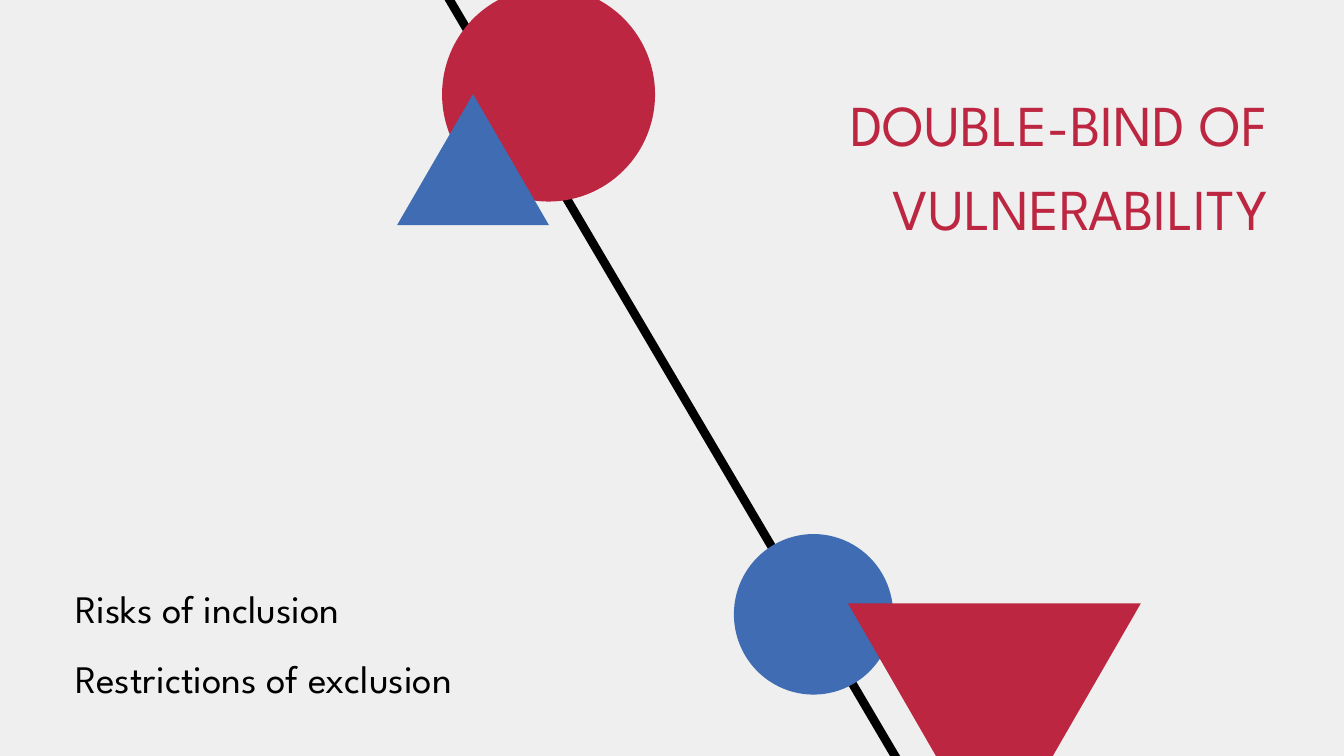
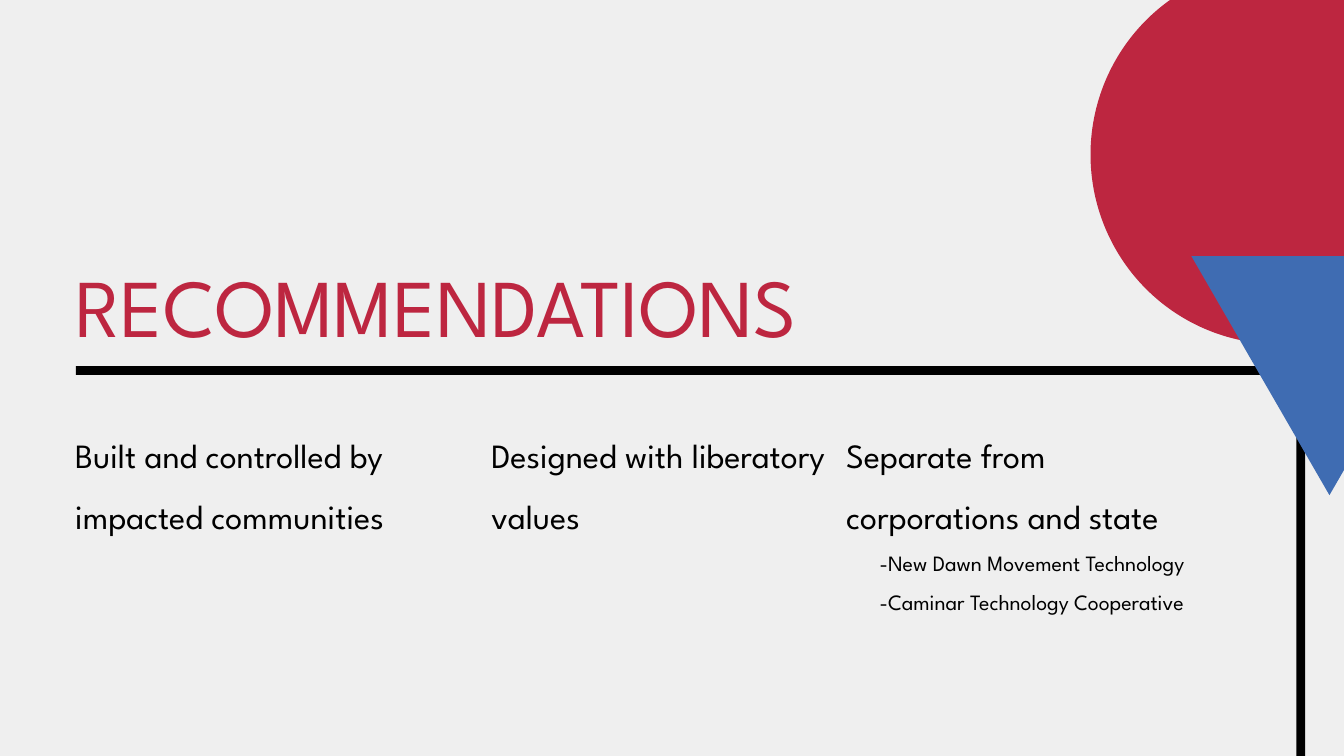
import pptx
import pptx.util
import pptx.dml.color
import pptx.enum.shapes
import pptx.enum.text

Cm = pptx.util.Cm
Pt = pptx.util.Pt
SHAPE = pptx.enum.shapes.MSO_SHAPE
ALIGN = pptx.enum.text.PP_ALIGN

COLORS = {"paper": "EFEFEF", "red": "BD2640", "blue": "3F6CB2", "black": "000000"}
FONT = "League Spartan"
MARGIN = 2.84
BAR = 0.33
COLUMN_TOP = 15.67

KINDS = {
    "bar": SHAPE.RECTANGLE,
    "circle": SHAPE.OVAL,
    "triangle": SHAPE.ISOSCELES_TRIANGLE,
}

STYLES = {
    "side title": {"size": 62, "color": "red", "align": ALIGN.RIGHT, "spacing": 1.2},
    "wide title": {"size": 88, "color": "red"},
    "statement": {"size": 41.7, "color": "black", "spacing": 1.5},
    "column": {"size": 36.4, "color": "black", "spacing": 1.5},
    "example": {"size": 23.4, "color": "black", "spacing": 1.5, "indent": 1.27},
}

SLIDES = [
    {
        "shapes": [
            ("bar", "black", (25.25, -5.94, BAR, 40.46), 329.5),
            ("circle", "red", (16.71, -0.48, 8.05, 8.1), 0),
            ("circle", "blue", (27.74, 20.19, 6.02, 6.07), 0),
            ("triangle", "blue", (15.01, 3.56, 5.74, 4.95), 0),
            ("triangle", "red", (32.05, 22.81, 11.07, 9.6), 180),
        ],
        "texts": [
            ((29.41, MARGIN, 18.52, 5.84), [("side title", "DOUBLE-BIND OF VULNERABILITY")]),
            ((MARGIN, 21.23, 25.73, 1.78), [("statement", "Risks of inclusion")]),
            ((MARGIN, 23.85, 25.73, 1.78), [("statement", "Restrictions of exclusion")]),
        ],
    },
    {
        "shapes": [
            ("bar", "black", (49, -1.04, BAR, 30.66), 0),
            ("bar", "black", (2.87, 13.84, 49.5, BAR), 0),
            ("circle", "red", (41.22, -1.32, 14.25, 14.33), 0),
            ("triangle", "blue", (45.03, 9.68, 10.44, 9.04), 180),
        ],
        "texts": [
            ((MARGIN, 9.65, 37.03, 3.76), [("wide title", "RECOMMENDATIONS")]),
            ((MARGIN, COLUMN_TOP, 14.78, 3.89),
             [("column", "Built and controlled by impacted communities")]),
            ((18.57, COLUMN_TOP, 13.46, 3.89),
             [("column", "Designed with liberatory values")]),
            ((31.98, COLUMN_TOP, 14.25, 7.16),
             [("column", "Separate from corporations and state"),
              ("example", "-New Dawn Movement Technology"),
              ("example", "-Caminar Technology Cooperative")]),
        ],
    },
]


def rgb(name):
    return pptx.dml.color.RGBColor.from_string(COLORS[name])


def add_figure(s, kind, color, box, rotation):
    sp = s.shapes.add_shape(KINDS[kind], *map(Cm, box))
    sp.shadow.inherit = False
    sp.fill.solid()
    sp.fill.fore_color.rgb = rgb(color)
    sp.line.fill.background()
    sp.rotation = rotation


def add_text(s, box, lines):
    tf = s.shapes.add_textbox(*map(Cm, box)).text_frame
    frame = {
        "word_wrap": True,
        "auto_size": pptx.enum.text.MSO_AUTO_SIZE.SHAPE_TO_FIT_TEXT,
        "margin_left": 0, "margin_top": 0, "margin_right": 0, "margin_bottom": 0,
    }
    for name, value in frame.items():
        setattr(tf, name, value)
    for i, (style, text) in enumerate(lines):
        look = STYLES[style]
        p = tf.add_paragraph() if i else tf.paragraphs[0]
        p.alignment = look.get("align", ALIGN.LEFT)
        p.line_spacing = look.get("spacing")
        if "indent" in look:
            pPr = p._p.get_or_add_pPr()
            pPr.set("marL", "0")
            pPr.set("indent", str(Cm(look["indent"])))
        r = p.add_run()
        r.text = text
        for name, value in {"name": FONT, "size": Pt(look["size"])}.items():
            setattr(r.font, name, value)
        r.font.color.rgb = rgb(look["color"])


def main():
    prs = pptx.Presentation()
    prs.slide_width, prs.slide_height = Cm(50.8), Cm(28.58)
    for content in SLIDES:
        s = prs.slides.add_slide(prs.slide_layouts[6])
        s.background.fill.solid()
        s.background.fill.fore_color.rgb = rgb("paper")
        for figure in content["shapes"]:
            add_figure(s, *figure)
        for box, lines in content["texts"]:
            add_text(s, box, lines)
    prs.save("out.pptx")


if __name__ == "__main__":
    main()
